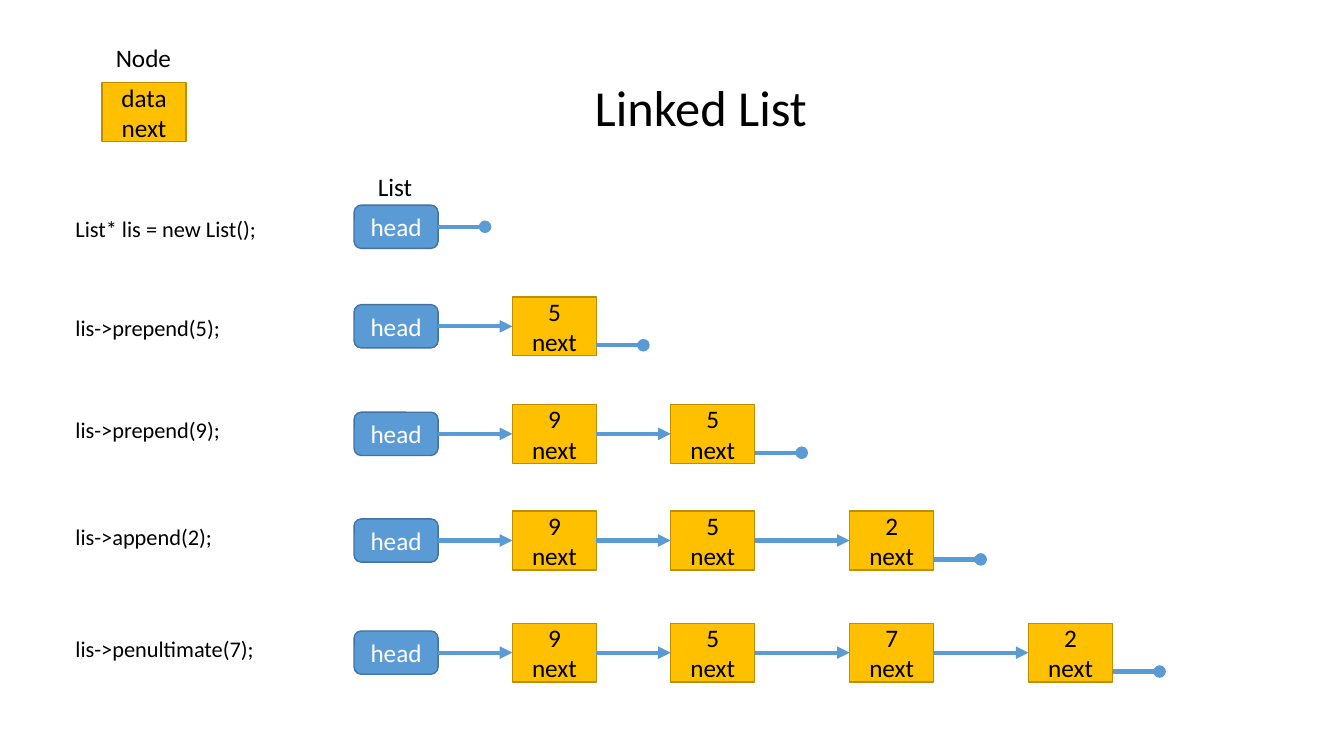
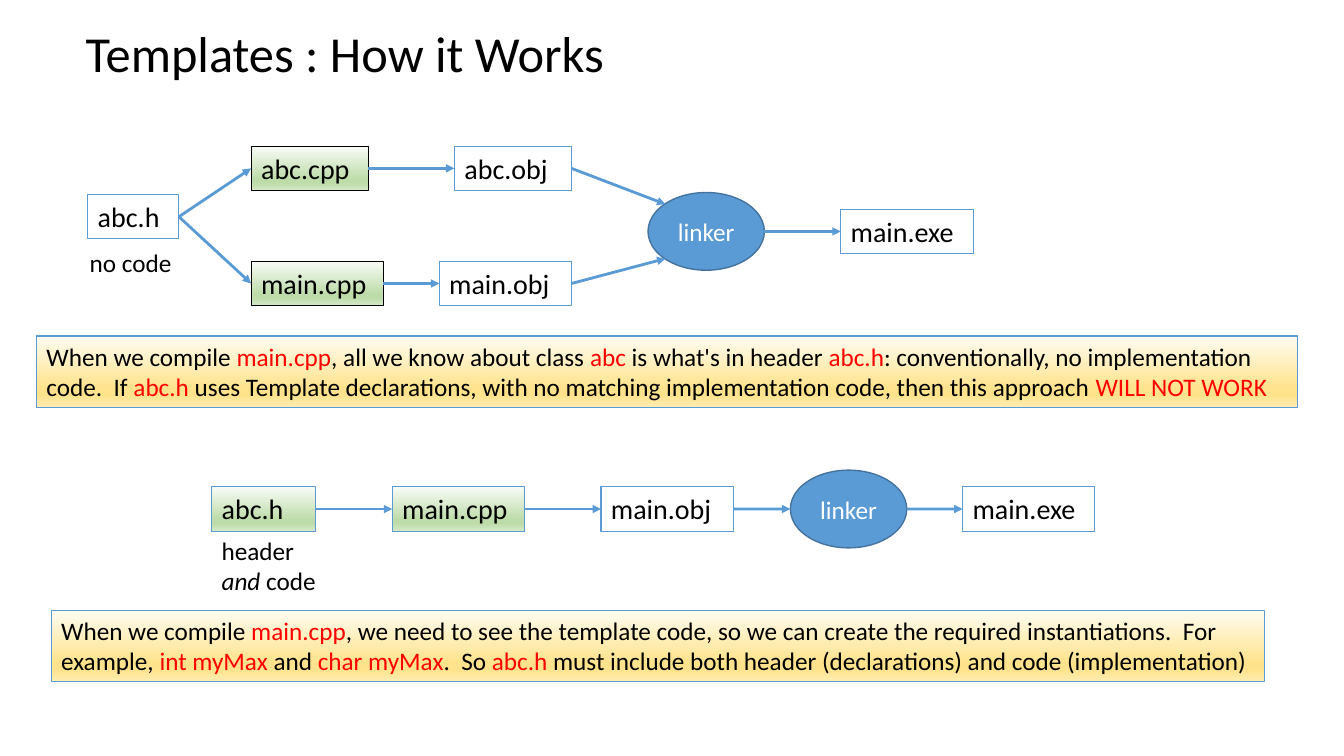
"""Two slides on linked lists and on compiling templates."""
from lxml import etree
from pptx import Presentation
from pptx.dml import color
from pptx.enum import shapes, text
from pptx.oxml import ns
from pptx.util import Inches, Pt

COLS, ROWS = 160, 90
UNIT = 7.5 / ROWS
FONT = "Calibri"
BLACK, WHITE, RED = "000000", "FFFFFF", "FF0000"
BLUE, NAVY = "5B9BD5", "43739E"
GOLD, BROWN = "FFC000", "BD8E00"
GREEN = ((0, "F8FBF6"), (74, "BEDCAA"), (83, "BEDCAA"), (100, "D4E8C6"))
CREAM = ((0, "FFFCF2"), (74, "FFE38C"), (83, "FFE38C"), (100, "FFECB2"))
KIND = shapes.MSO_SHAPE
LEFT, MID = text.PP_ALIGN.LEFT, text.PP_ALIGN.CENTER


def size(cells):
    """Turn grid cells into a length."""
    return Inches(cells * UNIT)


def rgb(code):
    """Turn a hex string into a colour."""
    return color.RGBColor.from_string(code)


def write(shape, words, pt=18, ink=BLACK, accent=None, italic=False,
          align=LEFT, anchor=text.MSO_ANCHOR.TOP):
    """Fill a shape with text; parts between bars take the accent format."""
    frame = shape.text_frame
    frame.word_wrap = True
    frame.auto_size = text.MSO_AUTO_SIZE.NONE
    frame.vertical_anchor = anchor
    for row, line in enumerate(words.split("\n")):
        para = frame.add_paragraph() if row else frame.paragraphs[0]
        para.alignment = align
        for spot, part in enumerate(line.split("|")):
            run = para.add_run()
            run.text = part
            marked = spot % 2 == 1
            run.font.name, run.font.size = FONT, Pt(pt)
            run.font.color.rgb = rgb(accent if marked and accent else ink)
            if marked and italic:
                run.font.italic = True


def blend(shape, stops):
    """Give a shape a top-down gradient."""
    shape.fill.gradient()
    shape.fill.gradient_angle = 270
    group = shape.element.find(".//" + ns.qn("a:gsLst"))
    for old in list(group):
        group.remove(old)
    for share, code in stops:
        stop = etree.SubElement(group, ns.qn("a:gs"), pos=str(share * 1000))
        etree.SubElement(stop, ns.qn("a:srgbClr"), val=code)


class Deck:
    """Holds the presentation, its style and the current slide."""

    def __init__(self):
        """Start an empty wide presentation."""
        self.show = Presentation()
        self.show.slide_width = size(COLS)
        self.show.slide_height = size(ROWS)
        self.slide = None

    def page(self, words, x, y, w):
        """Add a slide with its title."""
        self.slide = self.show.slides.add_slide(self.show.slide_layouts[5])
        title = self.slide.shapes.title
        title.left, title.top = size(x), size(y)
        title.width, title.height = size(w), size(8.5)
        write(title, words, pt=36)

    def label(self, words, x, y, w, h=4.8, **style):
        """Add plain text."""
        box = self.slide.shapes.add_textbox(*map(size, (x, y, w, h)))
        write(box, words, **style)

    def shape(self, kind, x, y, w, h, fill=None, edge=BLUE, thick=0.75):
        """Add a preset shape centred on height y."""
        item = self.slide.shapes.add_shape(
            kind, *map(size, (x, y - h / 2, w, h)))
        item.shadow.inherit = False
        if fill is None:
            item.fill.background()
        elif isinstance(fill, str):
            item.fill.solid()
            item.fill.fore_color.rgb = rgb(fill)
        else:
            blend(item, fill)
        item.line.color.rgb = rgb(edge)
        item.line.width = Pt(thick)
        return item

    def solid(self, kind, words, x, y, w, h, fill=BLUE, edge=NAVY, ink=WHITE):
        """Add a plain filled shape with centred text."""
        item = self.shape(kind, x, y, w, h, fill, edge, 1)
        write(item, words, ink=ink, align=MID, anchor=text.MSO_ANCHOR.MIDDLE)
        return item

    def node(self, data, x, y):
        """Add a list node."""
        return self.solid(KIND.RECTANGLE, data + "\nnext", x, y, 10, 7,
                          GOLD, BROWN, BLACK)

    def head(self, x, y):
        """Add the head of a list."""
        return self.solid(KIND.ROUNDED_RECTANGLE, "head", x, y, 10, 5.15)

    def linker(self, x, y):
        """Add the linker step."""
        return self.solid(KIND.OVAL, "linker", x, y, 13.85, 9.25)

    def file(self, name, x, y, w=15.75, fill=None, edge=BLUE):
        """Add a box that names a file."""
        item = self.shape(KIND.RECTANGLE, x, y, w, 5.25, fill, edge)
        write(item, name, pt=20)
        return item

    def banner(self, words, x, y, w):
        """Add a wide note with red code words."""
        item = self.shape(KIND.RECTANGLE, x, y, w, 8.5, CREAM)
        write(item, words, accent=RED)

    def line(self, x1, y1, x2, y2, thick, end):
        """Draw a line with an end mark between two points."""
        item = self.slide.shapes.add_connector(
            shapes.MSO_CONNECTOR.STRAIGHT, x1, y1, x2, y2)
        item.line.color.rgb = rgb(BLUE)
        item.line.width = Pt(thick)
        props = item.element.spPr
        etree.SubElement(props.find(ns.qn("a:ln")), ns.qn("a:tailEnd"),
                         type=end)
        etree.SubElement(props, ns.qn("a:effectLst"))

    def arrow(self, start, goal, thick=2, across=0, down=0.5):
        """Point from the right side of one shape to a spot on the next."""
        self.line(start.left + start.width, start.top + start.height // 2,
                  goal.left + int(goal.width * across),
                  goal.top + int(goal.height * down), thick, "triangle")

    def stop(self, start, drop):
        """End a list with a dot, below the middle of its last shape."""
        x = start.left + start.width
        y = start.top + start.height // 2 + size(drop)
        self.line(x, y, x + size(5.6), y, 3, "oval")


def lists(deck):
    """Build the slide on linked lists."""
    deck.page("Linked List", 69.6, 8.5, 51.7)
    deck.label("Node", 12.6, 4.45, 9.5)
    deck.node("data", 12.15, 13.35)
    deck.label("List", 43.8, 19.8, 7.7)
    slots = (61, 79.85, 101.15, 122.45)
    steps = (("List* lis = new List();", "", 27, 25),
             ("lis->prepend(5);", "5", 38.85, 36.85),
             ("lis->prepend(9);", "95", 51.65, 49),
             ("lis->append(2);", "952", 64.35, 61.7),
             ("lis->penultimate(7);", "9572", 77.7, 75))
    for code, items, y, top in steps:
        deck.label(code, 7.8, top, 27.8, 4.4, pt=16)
        last = deck.head(42.15, y)
        for data, x in zip(items, slots):
            fresh = deck.node(data, x, y)
            deck.arrow(last, fresh, thick=3)
            last = fresh
        deck.stop(last, 2.25 if items else 0)


def build(deck):
    """Build the slide on compiling templates."""
    deck.page("Templates : How it Works", 9, 2, 103)
    high, low, mid = 20.05, 33.75, 27.55
    header = deck.file("abc.h", 10.45, 25.8, 10.85)
    link = deck.linker(77.15, mid)
    rows = (("abc", high, 13.95, 54.1, 0.15),
            ("main", low, 15.75, 52.3, 0.85))
    for name, y, w, x, down in rows:
        code = deck.file(name + ".cpp", 29.9, y, w, GREEN, BLACK)
        obj = deck.file(name + ".obj", x, y, w)
        deck.arrow(header, code)
        deck.arrow(code, obj)
        deck.arrow(obj, link, across=0.15, down=down)
    deck.arrow(link, deck.file("main.exe", 100.1, mid))
    deck.label("no code", 9.5, 28.8, 14.5)
    deck.banner("When we compile |main.cpp|, all we know about class |abc |"
                "is what's in header |abc.h|: conventionally, no "
                "implementation code.  If |abc.h| uses Template "
                "declarations, with no matching implementation code, then "
                "this approach |WILL NOT WORK", 4.35, 44.25, 150.1)

    y = 60.6
    chain = (deck.file("abc.h", 25.2, y, 12.4, GREEN),
             deck.file("main.cpp", 46.7, y, fill=GREEN),
             deck.file("main.obj", 71.55, y),
             deck.linker(94.1, y),
             deck.file("main.exe", 114.6, y))
    for start, goal in zip(chain, chain[1:]):
        deck.arrow(start, goal)
    deck.label("header |and| code", 25.2, 63.15, 14.5, 8.5, italic=True)
    deck.banner("When we compile |main.cpp|, we need to see the template "
                "code, so we can create the required instantiations.  For "
                "example, |int myMax |and |char myMax|.  So |abc.h| must "
                "include both header (declarations) and code "
                "(implementation)", 6.1, 76.9, 144.4)


deck = Deck()
lists(deck)
build(deck)
deck.show.save("out.pptx")
